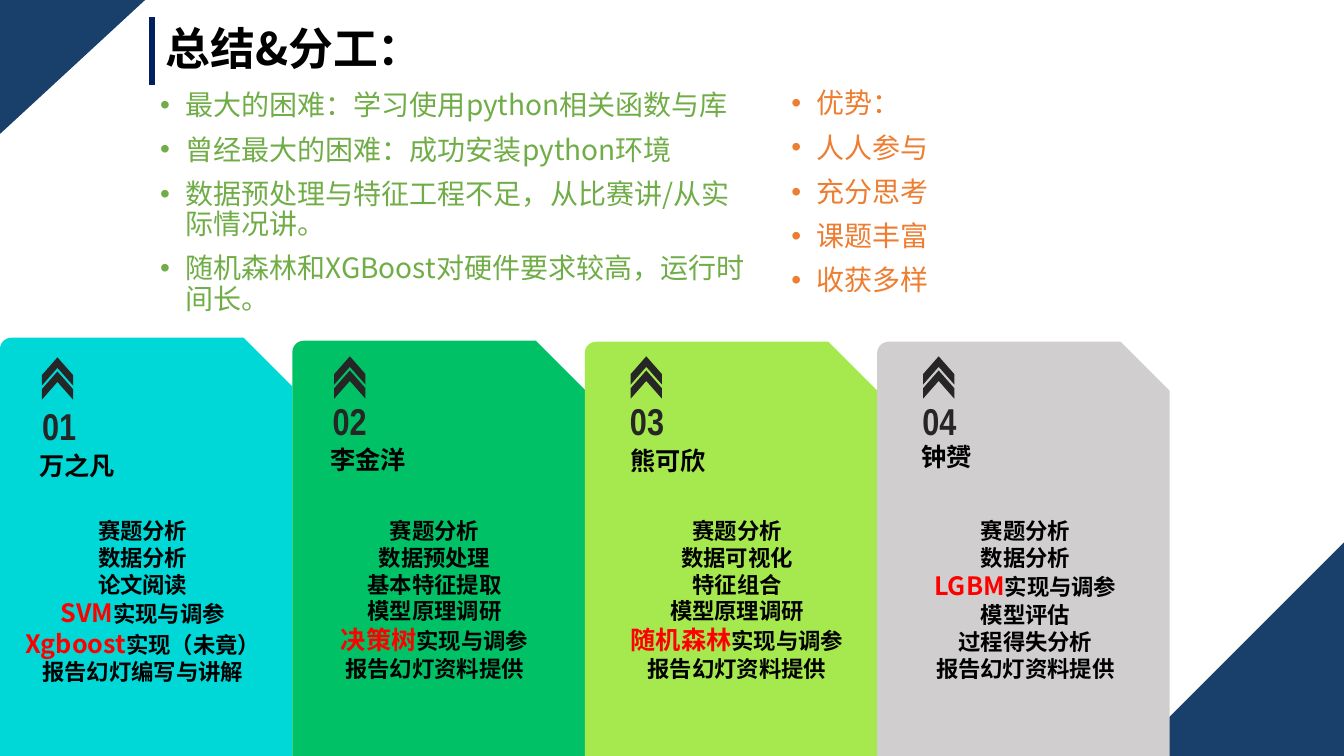
from dataclasses import dataclass

import pptx
import pptx.dml.color
import pptx.enum.shapes
import pptx.enum.text
import pptx.oxml
import pptx.oxml.ns
import pptx.util
from pptx.util import Inches

HUES = {
    "navy": "19406B", "bar": "002060", "black": "000000", "dark": "262626",
    "red": "FF0000", "cyan": "00D7D7", "green": "00C165", "lime": "A6E94E",
    "grey": "D0CECE", "leaf": "70AD47", "orange": "ED7D31",
}
SANS = "Noto Sans CJK SC"
WIDE = 2.9
FOOT = 7.5
FORMS = pptx.enum.shapes.MSO_SHAPE
ALIGN = pptx.enum.text.PP_ALIGN

Box = tuple[float, float, float, float]


@dataclass
class Run:
    text: str
    size: float = 16
    hue: str = "black"
    bold: bool = True
    font: str = SANS


@dataclass
class Card:
    hue: str
    top: float
    mark: tuple[float, float]
    digit: tuple[float, float]
    name: str
    spot: tuple[float, float]
    tasks: Box
    lines: list[list[Run]]


@dataclass
class Notes:
    box: Box
    hue: str
    lines: list[str]


def plain(text: str) -> list[Run]:
    return [Run(text)]


def model(name: str, rest: str = "实现与调参") -> list[Run]:
    return [Run(name, 18, "red"), Run(rest)]


CARDS = [
    Card("cyan", 3.35, (0.43, 3.53), (0.32, 4.12), "万之凡", (0.29, 4.42),
         (0.07, 5.08, 2.69, 2.02),
         [plain("赛题分析"), plain("数据分析"), plain("论文阅读"), model("SVM"),
          model("Xgboost", "实现（未竟）"), plain("报告幻灯编写与讲解")]),
    Card("green", 3.38, (3.33, 3.52), (3.2, 4.07), "李金洋", (3.18, 4.36),
         (3.17, 5.08, 2.28, 1.75),
         [plain("赛题分析"), plain("数据预处理"), plain("基本特征提取"),
          plain("模型原理调研"), model("决策树"), plain("报告幻灯资料提供")]),
    Card("lime", 3.39, (6.27, 3.52), (6.15, 4.07), "熊可欣", (6.15, 4.37),
         (6.15, 5.08, 2.32, 1.75),
         [plain("赛题分析"), plain("数据可视化"), plain("特征组合"),
          plain("模型原理调研"), model("随机森林"), plain("报告幻灯资料提供")]),
    Card("grey", 3.39, (9.17, 3.52), (9.05, 4.07), "钟赟", (9.04, 4.33),
         (9.03, 5.08, 2.28, 1.75),
         [plain("赛题分析"), plain("数据分析"), model("LGBM"), plain("模型评估"),
          plain("过程得失分析"), plain("报告幻灯资料提供")]),
]
NOTES = [
    Notes((1.49, 0.86, 6.12, 2.52), "leaf",
          ["最大的困难：学习使用python相关函数与库",
           "曾经最大的困难：成功安装python环境",
           "数据预处理与特征工程不足，从比赛讲/从实际情况讲。",
           "随机森林和XGBoost对硬件要求较高，运行时间长。"]),
    Notes((7.75, 0.84, 5.5, 2.52), "orange",
          ["优势：", "人人参与", "充分思考", "课题丰富", "收获多样"]),
]


def color(hue: str) -> pptx.dml.color.RGBColor:
    return pptx.dml.color.RGBColor.from_string(HUES[hue])


def child(node, tag: str, **attrs: str) -> None:
    item = pptx.oxml.ns.qn(tag)
    node.append(node.makeelement(item, attrs))


def write(para, runs: list[Run]) -> None:
    for run in runs:
        part = para.add_run()
        part.text = run.text
        font = part.font
        font.name = run.font
        font.size = pptx.util.Pt(run.size)
        font.bold = run.bold
        font.color.rgb = color(run.hue)
        child(part._r.get_or_add_rPr(), "a:ea", typeface=run.font)


def label(shapes, box: Box, lines: list[list[Run]], align=ALIGN.LEFT):
    frame = shapes.add_textbox(*map(Inches, box)).text_frame
    frame.word_wrap = True
    for index, runs in enumerate(lines):
        para = frame.add_paragraph() if index else frame.paragraphs[0]
        para.alignment = align
        write(para, runs)
    return frame


def form(shapes, kind, box: Box, hue: str, turn: float = 0):
    shape = shapes.add_shape(kind, *map(Inches, box))
    shape.shadow.inherit = False
    shape.fill.solid()
    shape.fill.fore_color.rgb = color(hue)
    shape.line.fill.background()
    shape.rotation = turn
    return shape


def corner(shapes, box: Box, turn: float = 0) -> None:
    shape = form(shapes, FORMS.RIGHT_TRIANGLE, box, "navy", turn)
    shape._element.spPr.xfrm.set("flipV", "1")


def head(slide) -> None:
    title = slide.shapes.title
    title.left, title.top, title.width, title.height = map(
        Inches, (1.51, 0.14, 4.8, 0.67))
    frame = title.text_frame
    frame.word_wrap = True
    frame.auto_size = pptx.enum.text.MSO_AUTO_SIZE.NONE
    frame.vertical_anchor = pptx.enum.text.MSO_ANCHOR.TOP
    frame.margin_left = frame.margin_right = Inches(0.13)
    frame.margin_top = frame.margin_bottom = Inches(0.07)
    frame.paragraphs[0].alignment = ALIGN.LEFT
    write(frame.paragraphs[0], [Run("总结&分工：", 32)])
    bar = slide.shapes.add_connector(
        pptx.enum.shapes.MSO_CONNECTOR.STRAIGHT,
        *map(Inches, (1.51, 0.17, 1.51, 0.84)))
    bar.line.color.rgb = color("bar")
    bar.line.width = pptx.util.Pt(4.5)
    child(bar._element.spPr, "a:effectLst")


def panel(slide, index: int, card: Card) -> None:
    shapes = slide.shapes.add_group_shape().shapes
    back = form(shapes, FORMS.SNIP_ROUND_RECTANGLE,
                (index * WIDE, card.top, WIDE, FOOT - card.top), card.hue)
    back.adjustments[0] = 0.039
    back.adjustments[1] = 0.167
    number = Run(f"{index + 1:02}", 26.7, "dark", True, "Arial Narrow")
    frame = label(shapes, (*card.digit, 0.63, 0.38), [[number]])
    frame.paragraphs[0].line_spacing = pptx.util.Pt(20)
    left, top = card.mark
    for drop in (0.14, 0):
        arrow = form(shapes, FORMS.CHEVRON,
                     (left, top + drop, 0.28, 0.31), "dark", 270)
        arrow.adjustments[0] = 0.63
    label(shapes, card.tasks, card.lines, ALIGN.CENTER)
    label(shapes, (*card.spot, 1.32, 0.4), [[Run(card.name, 18)]])


def bullets(slide, notes: Notes) -> None:
    lines = [[Run(text, 20, notes.hue, False)] for text in notes.lines]
    for para in label(slide.shapes, notes.box, lines).paragraphs:
        para.line_spacing = 0.9
        para.space_before = pptx.util.Pt(10)
        props = para._p.get_or_add_pPr()
        props.set("marL", str(Inches(0.25)))
        props.set("indent", str(Inches(-0.25)))
        child(props, "a:buFont", typeface="Arial")
        child(props, "a:buChar", char="•")


def main() -> None:
    deck = pptx.Presentation()
    deck.slide_width = Inches(13.33)
    deck.slide_height = Inches(FOOT)
    slide = deck.slides.add_slide(deck.slide_layouts[5])
    head(slide)
    corner(slide.shapes, (0, 0, 1.44, 1.33))
    corner(slide.shapes, (11.19, 5.36, 2.16, 2.16), 180)
    for index, card in enumerate(CARDS):
        panel(slide, index, card)
    for notes in NOTES:
        bullets(slide, notes)
    deck.save("out.pptx")


if __name__ == "__main__":
    main()
